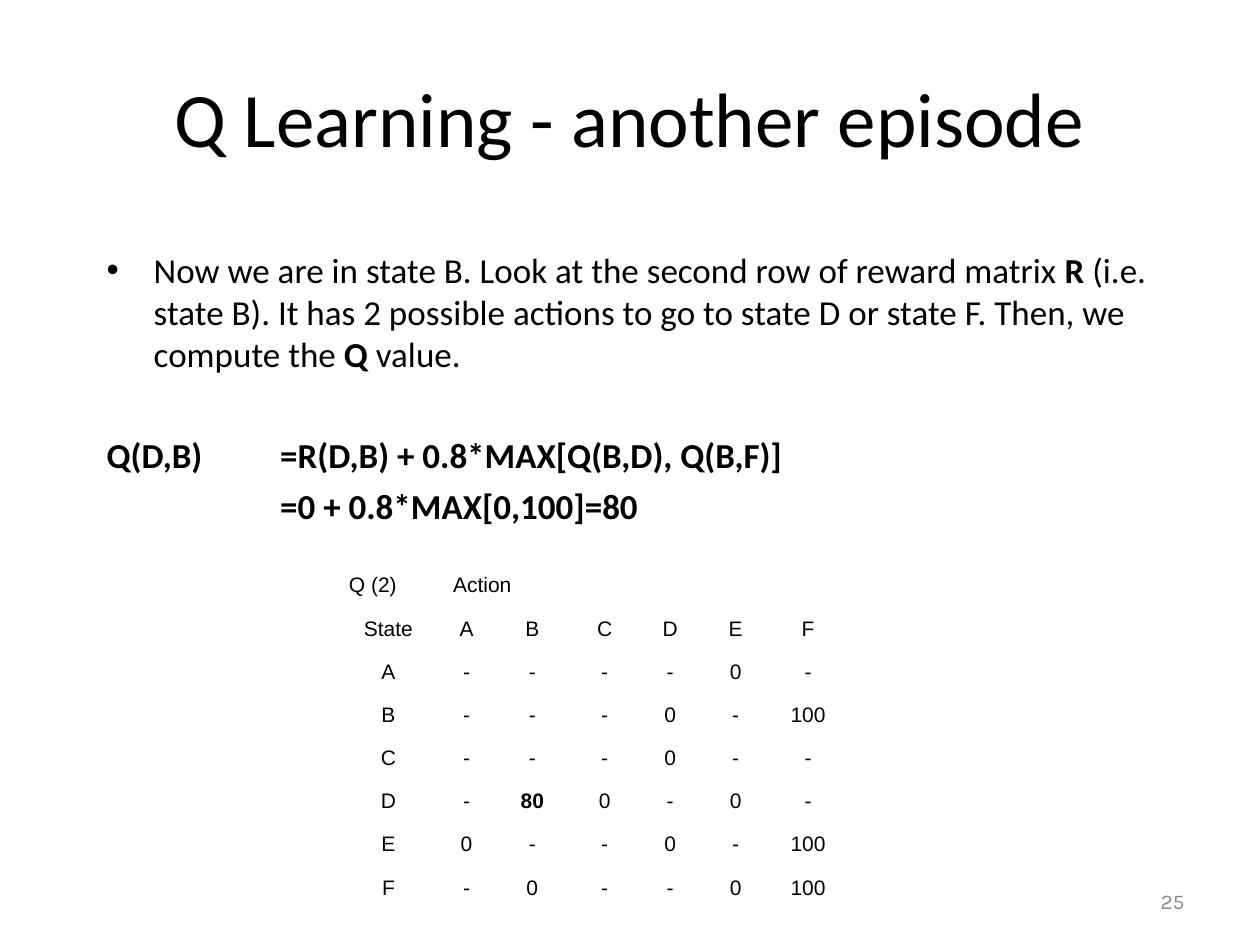
from lxml.etree import SubElement
from pptx import Presentation
from pptx.dml.color import RGBColor
from pptx.enum.text import MSO_ANCHOR as Anchor, PP_ALIGN as Align
from pptx.oxml.ns import qn
from pptx.util import Cm, Pt

BLACK = RGBColor(0x00, 0x00, 0x00)
GREY = RGBColor(0x89, 0x89, 0x89)

TITLE_FONT = dict(name="Calibri", size=Pt(44))
BODY_FONT = dict(name="Calibri", size=Pt(20))
TABLE_FONT = dict(name="Arial", size=Pt(12))
NUMBER_FONT = dict(name="Karla", size=Pt(12))

# Each run is (text, bold).
EXPLANATION = [
    ("Now we are in state B. Look at the second row of reward matrix ", False),
    ("R ", True),
    ("(i.e. state B). It has 2 possible actions to go to state D or state F. "
     "Then, we compute the ", False),
    ("Q ", True),
    ("value.", False),
]
EQUATION = [("Q(D,B)\t=R(D,B) + 0.8*MAX[Q(B,D), Q(B,F)]", True)]
RESULT = [("\t=0 + 0.8*MAX[0,100]=80", True)]

STATES = "ABCDEF"
Q_VALUES = [
    "- - - - 0 -",
    "- - - 0 - 100",
    "- - - 0 - -",
    "- 80 0 - 0 -",
    "0 - - 0 - 100",
    "- 0 - - 0 100",
]
UPDATED = "80"
COLUMN_WIDTHS = [2.1, 1.05, 1.6, 1.32, 1.32, 1.32, 1.6]
HEADER_HEIGHT, ROW_HEIGHT = 1.57, 0.87


def style_font(font, style, color=BLACK, bold=False):
    for attribute, value in dict(style, bold=bold).items():
        setattr(font, attribute, value)
    font.color.rgb = color


class SlideBuilder:
    def __init__(self, slide):
        self.slide = slide

    def title(self, text, box):
        title = self.slide.shapes.title
        title.left, title.top, title.width, title.height = map(Cm, box)
        frame = title.text_frame
        frame.vertical_anchor = Anchor.MIDDLE
        self.add_runs(frame.paragraphs[0], [(text, False)], TITLE_FONT, align=Align.CENTER)

    def text_box(self, box, anchor=Anchor.TOP):
        frame = self.slide.shapes.add_textbox(*map(Cm, box)).text_frame
        frame.word_wrap = True
        frame.vertical_anchor = anchor
        return frame

    def add_runs(self, paragraph, runs, style, color=BLACK, align=Align.LEFT):
        paragraph.alignment = align
        for text, bold in runs:
            run = paragraph.add_run()
            run.text = text
            style_font(run.font, style, color, bold)

    def bullet(self, paragraph, indent):
        properties = paragraph._p.get_or_add_pPr()
        properties.set("marL", str(Cm(indent)))
        properties.set("indent", str(-Cm(indent)))
        SubElement(properties, qn("a:buFont"), typeface="Arial")
        SubElement(properties, qn("a:buChar"), char="•")

    def tab_stop(self, paragraph, position):
        stops = SubElement(paragraph._p.get_or_add_pPr(), qn("a:tabLst"))
        SubElement(stops, qn("a:tab"), pos=str(Cm(position)), algn="l")

    def explanation(self, box):
        frame = self.text_box(box)
        first = frame.paragraphs[0]
        self.bullet(first, 0.95)
        self.add_runs(first, EXPLANATION, BODY_FONT)
        for runs, gap in ((EQUATION, 34), (RESULT, 5)):
            paragraph = frame.add_paragraph()
            paragraph.space_before = Pt(gap)
            self.tab_stop(paragraph, 3.5)
            self.add_runs(paragraph, runs, BODY_FONT)

    def q_table(self, left, top):
        rows = [["Q (2)", "Action"] + [""] * 5, ["State", *STATES]]
        rows += [[state, *values.split()] for state, values in zip(STATES, Q_VALUES)]
        heights = [HEADER_HEIGHT] + [ROW_HEIGHT] * (len(rows) - 1)
        table = self.slide.shapes.add_table(
            len(rows), len(COLUMN_WIDTHS), Cm(left), Cm(top),
            Cm(sum(COLUMN_WIDTHS)), Cm(sum(heights))).table
        table.first_row = table.horz_banding = False
        for column, width in zip(table.columns, COLUMN_WIDTHS):
            column.width = Cm(width)
        for r, (row, height) in enumerate(zip(rows, heights)):
            table.rows[r].height = Cm(height)
            for c, text in enumerate(row):
                cell = table.cell(r, c)
                cell.fill.background()
                cell.vertical_anchor = Anchor.BOTTOM
                paragraph = cell.text_frame.paragraphs[0]
                if text:
                    self.add_runs(paragraph, [(text, text == UPDATED)], TABLE_FONT,
                                  align=Align.CENTER if r else Align.LEFT)
                else:
                    style_font(paragraph.font, TABLE_FONT)
        table.cell(0, 1).merge(table.cell(0, 2))

    def slide_number(self, number, box):
        frame = self.text_box(box, Anchor.MIDDLE)
        self.add_runs(frame.paragraphs[0], [(number, False)], NUMBER_FONT, GREY, Align.RIGHT)


def main():
    presentation = Presentation()
    presentation.slide_width, presentation.slide_height = Cm(25.4), Cm(19.05)
    title_only = presentation.slide_layouts[5]
    builder = SlideBuilder(presentation.slides.add_slide(title_only))
    builder.title("Q Learning - another episode", (1.27, 0.76, 22.86, 3.18))
    builder.explanation((1.9, 4.88, 22.43, 13.13))
    builder.slide_number("25", (18.2, 17.65, 5.93, 1.02))
    builder.q_table(6.78, 10.6)
    presentation.save("out.pptx")


if __name__ == "__main__":
    main()
